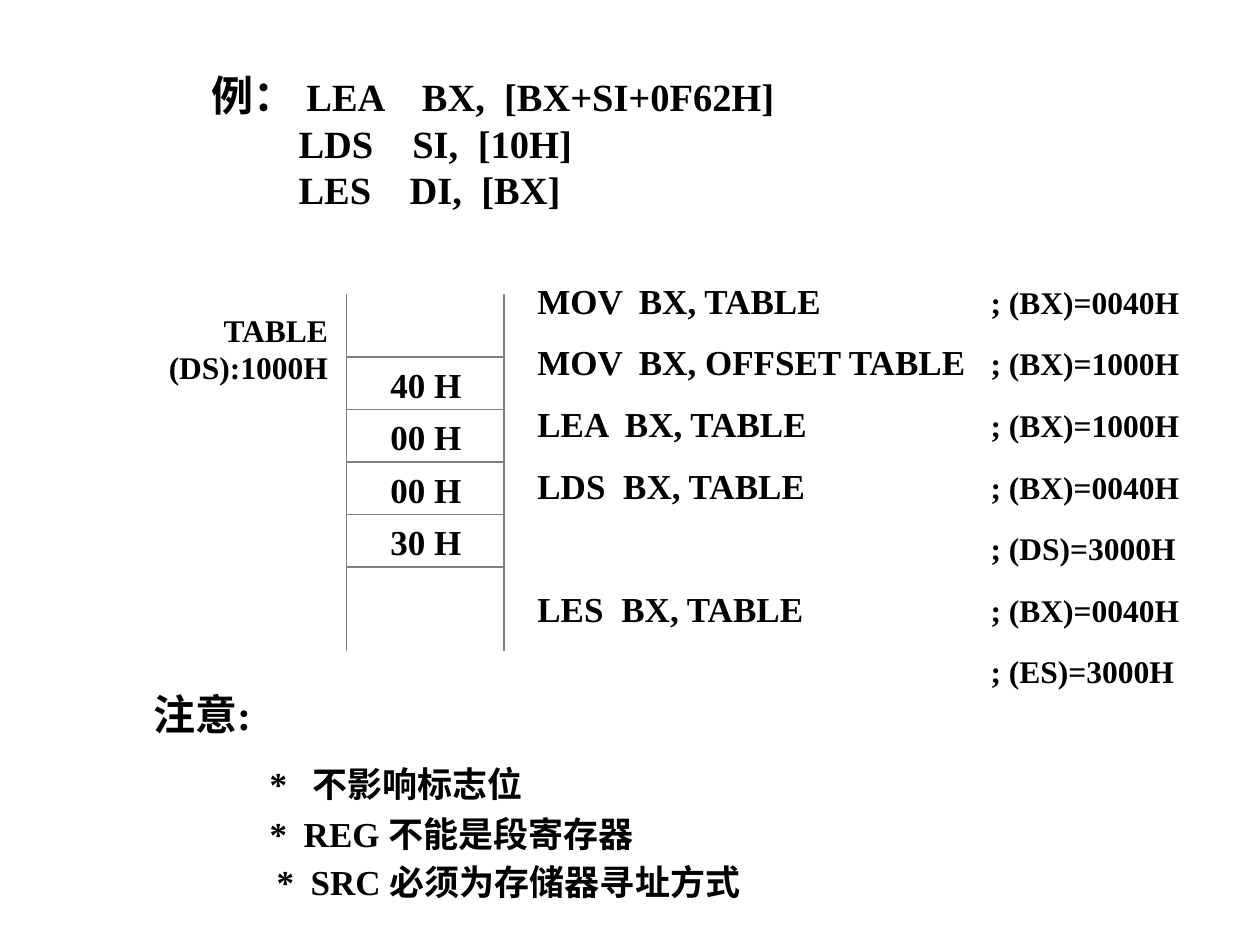
from lxml.etree import SubElement
from pptx import Presentation
from pptx.dml.color import RGBColor
from pptx.enum.shapes import MSO_CONNECTOR
from pptx.enum.text import PP_ALIGN
from pptx.oxml.ns import qn
from pptx.util import Pt


def color(value):
    return RGBColor.from_string(value)


def add_text(left, top, width, height, rows, spacing=None, before=0, align=PP_ALIGN.LEFT):
    box = page.shapes.add_textbox(Pt(left), Pt(top), Pt(width), Pt(height))
    frame = box.text_frame
    frame.word_wrap = True
    for index, (stops, pieces) in enumerate(rows):
        para = frame.add_paragraph() if index else frame.paragraphs[0]
        para.alignment = align
        if index:
            para.space_before = Pt(before)
        if spacing:
            para.line_spacing = spacing
        if stops:
            tabs = SubElement(para._p.get_or_add_pPr(), qn("a:tabLst"))
            for stop in stops:
                SubElement(tabs, qn("a:tab"), pos=str(Pt(stop)), algn="l")
        for text, size in pieces:
            span = para.add_run()
            span.text = text
            span.font.name = "Times New Roman"
            span.font.size = Pt(size)
            span.font.bold = True
            span.font.color.rgb = color("000000")


deck = Presentation()
deck.slide_width = Pt(720)
deck.slide_height = Pt(540)
page = deck.slides.add_slide(deck.slide_layouts[6])

add_text(114, 36, 444, 89, [
    ([54, 120, 167], [("例：", 24), ("\tLEA\tBX,\t[BX+SI+0F62H]", 22)]),
    ([49.5, 114.5, 152], [("\tLDS\tSI,\t[10H]", 22)]),
    ([49.5, 113, 154], [("\tLES\tDI,\t[BX]", 22)]),
])

memory_left, memory_right, memory_top, memory_bottom = 198, 288, 168, 372
first_cell, cell_height = 204, 30
lines = [(x, memory_top, x, memory_bottom) for x in (memory_left, memory_right)]
for step in range(5):
    y = first_cell + step * cell_height
    lines.append((memory_left, y, memory_right, y))
for ends in lines:
    line = page.shapes.add_connector(MSO_CONNECTOR.STRAIGHT, *[Pt(end) for end in ends])
    line.line.color.rgb = color("808080")
    line.line.width = Pt(1)
    SubElement(line._element.spPr, qn("a:effectLst"))

cells = ["40 H", "00 H", "00 H", "30 H"]
add_text(216, 198, 60, 127.5, [([], [(cell, 20)]) for cell in cells], spacing=1.25)

labels = ["TABLE", "(DS):1000H"]
add_text(80, 174, 114.5, 50, [([], [(label, 18)]) for label in labels], align=PP_ALIGN.RIGHT)

comment_stop = 259
instructions = [
    (58, "MOV\tBX, TABLE", "; (BX)=0040H"),
    (58, "MOV\tBX, OFFSET TABLE", "; (BX)=1000H"),
    (50, "LEA\tBX, TABLE", "; (BX)=1000H"),
    (49, "LDS\tBX, TABLE", "; (BX)=0040H"),
    (49, "\t", "; (DS)=3000H"),
    (48, "LES\tBX, TABLE", "; (BX)=0040H"),
    (48, "\t", "; (ES)=3000H"),
]
add_text(300, 156, 395, 243, [
    ([operand_stop, comment_stop], [(code + "\t", 20), (comment, 18)])
    for operand_stop, code, comment in instructions
], before=11.2)

add_text(80.5, 390, 366, 34, [([], [("注意:", 24)])])
add_text(80.5, 424, 366, 90, [
    ([66.5, 91], [("\t", 24), ("*\t不影响标志位", 20)]),
    ([66.5, 86], [("\t*\tREG 不能是段寄存器", 20)]),
    ([70.5, 90], [("\t*\tSRC 必须为存储器寻址方式", 20)]),
], spacing=1.15)

deck.save("out.pptx")
